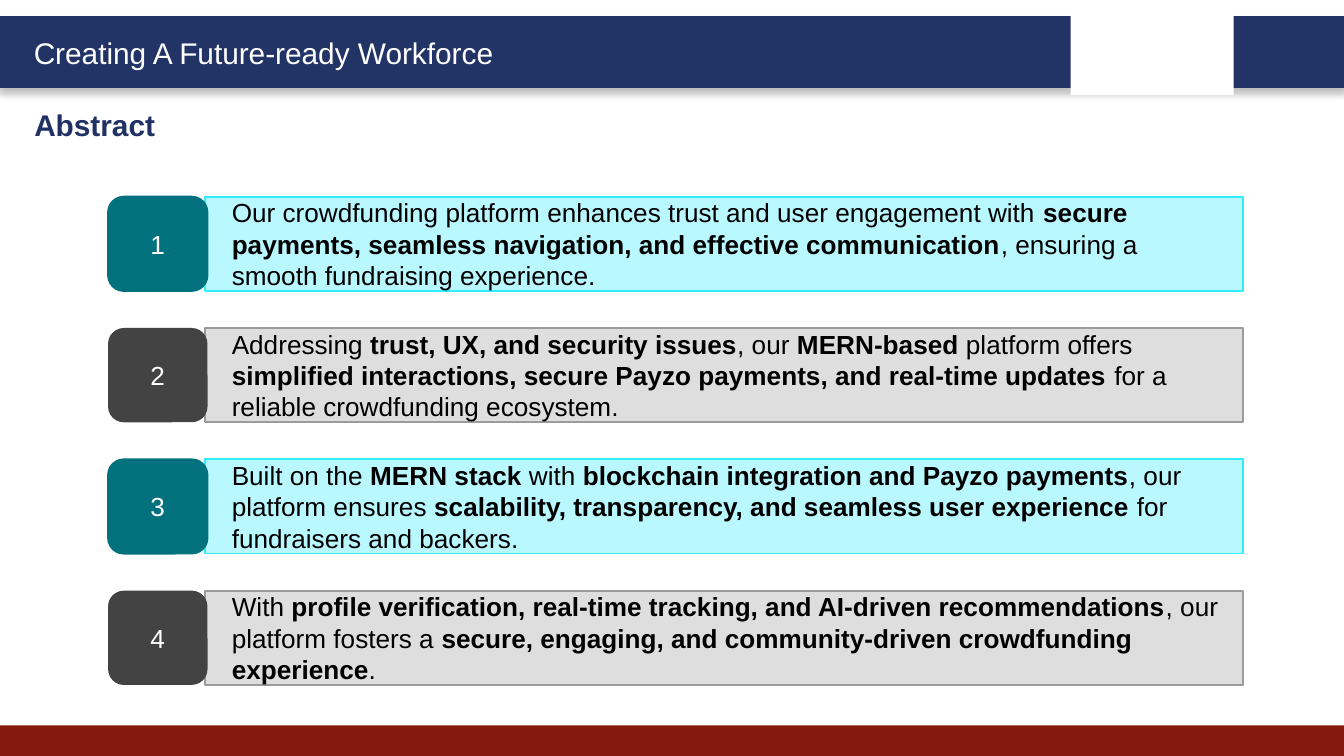
from dataclasses import dataclass

from lxml import etree
from pptx import Presentation
from pptx.dml.color import RGBColor
from pptx.enum import shapes, text
from pptx.oxml import ns
from pptx.util import Pt


@dataclass(frozen=True)
class Theme:
    font: str = "Arial"
    title_size: int = 16
    body_size: int = 14
    navy: str = "223366"
    heading: str = "213163"
    maroon: str = "851910"
    white: str = "FFFFFF"
    black: str = "000000"
    bars: tuple = (("BAF8FF", "31EBFF"), ("DEDEDE", "9B9B9B"))
    badges: tuple = (("00717D", "00717D"), ("434343", None))


THEME = Theme()
SLIDE_WIDTH, SLIDE_HEIGHT = 720, 405
FOOTER_TOP = 388.6
ROWS_TOP, ROW_PITCH, ROW_HEIGHT = 105.4, 70.35, 50.5
BADGE_LEFT, BADGE_WIDTH = 57.9, 53.3
BAR_LEFT, BAR_WIDTH = 109.9, 556.1

POINTS = [
    [("Our crowdfunding platform enhances trust and user engagement with ", False),
     ("secure payments, seamless navigation, and effective communication", True),
     (", ensuring a smooth fundraising experience.", False)],
    [("Addressing ", False),
     ("trust, UX, and security issues", True),
     (", our ", False),
     ("MERN-based", True),
     (" platform offers ", False),
     ("simplified interactions, secure Payzo payments, and real-time updates", True),
     (" for a reliable crowdfunding ecosystem.", False)],
    [("Built on the ", False),
     ("MERN stack", True),
     (" with ", False),
     ("blockchain integration and Payzo payments", True),
     (", our platform ensures ", False),
     ("scalability, transparency, and seamless user experience", True),
     (" for fundraisers and backers.", False)],
    [("With ", False),
     ("profile verification, real-time tracking, and AI-driven recommendations", True),
     (", our platform fosters a ", False),
     ("secure, engaging, and community-driven crowdfunding experience", True),
     (".", False)],
]


def apply_format(target, values):
    for name, value in values.items():
        setattr(target, name, value)


def add_panel(parent, kind, box, fill, line=None, line_width=1):
    panel = parent.add_shape(kind, *map(Pt, box))
    panel.shadow.inherit = False
    panel.fill.solid()
    panel.fill.fore_color.rgb = RGBColor.from_string(fill)
    if line:
        panel.line.color.rgb = RGBColor.from_string(line)
        panel.line.width = Pt(line_width)
    else:
        panel.line.fill.background()
    return panel


def write_runs(paragraph, runs, size, color):
    for wording, bold in runs:
        run = paragraph.add_run()
        run.text = wording
        apply_format(run.font, {"name": THEME.font, "size": Pt(size), "bold": bold})
        run.font.color.rgb = RGBColor.from_string(color)


def add_heading(parent, box, wording, color, bold=False):
    heading = parent.add_textbox(*map(Pt, box))
    apply_format(heading.text_frame, {
        "word_wrap": True,
        "auto_size": text.MSO_AUTO_SIZE.SHAPE_TO_FIT_TEXT,
    })
    write_runs(heading.text_frame.paragraphs[0], [(wording, bold)],
               THEME.title_size, color)


def add_drop_shadow(panel, blur, distance, opacity):
    effects = panel._element.spPr.find(ns.qn("a:effectLst"))
    shadow = etree.SubElement(effects, ns.qn("a:outerShdw"), {
        "blurRad": str(Pt(blur)), "dist": str(Pt(distance)),
        "dir": "5400000", "algn": "t", "rotWithShape": "0"})
    color = etree.SubElement(shadow, ns.qn("a:srgbClr"), val=THEME.black)
    etree.SubElement(color, ns.qn("a:alpha"), val=str(opacity * 1000))


def fill_panel(panel, runs, color, alignment, indent=0):
    apply_format(panel.text_frame, {
        "word_wrap": True,
        "vertical_anchor": text.MSO_ANCHOR.MIDDLE,
    })
    paragraph = panel.text_frame.paragraphs[0]
    paragraph.alignment = alignment
    if indent:
        properties = paragraph._p.get_or_add_pPr()
        properties.set("marL", str(Pt(indent)))
        properties.set("indent", "0")
    write_runs(paragraph, runs, THEME.body_size, color)


def add_point(parent, index, runs):
    row = parent.add_group_shape().shapes
    top = ROWS_TOP + index * ROW_PITCH
    bar = add_panel(row, shapes.MSO_SHAPE.RECTANGLE,
                    (BAR_LEFT, top, BAR_WIDTH, ROW_HEIGHT), *THEME.bars[index % 2])
    fill_panel(bar, runs, THEME.black, text.PP_ALIGN.LEFT, indent=7.2)
    badge = add_panel(row, shapes.MSO_SHAPE.ROUNDED_RECTANGLE,
                      (BADGE_LEFT, top, BADGE_WIDTH, ROW_HEIGHT),
                      *THEME.badges[index % 2])
    fill_panel(badge, [(str(index + 1), False)], THEME.white, text.PP_ALIGN.CENTER)


def add_frame(parent):
    rectangle = shapes.MSO_SHAPE.RECTANGLE
    banner = add_panel(parent, rectangle, (0, 9.4, SLIDE_WIDTH, 36.7),
                       THEME.navy, THEME.navy, 2)
    add_drop_shadow(banner, blur=4, distance=3, opacity=25)
    add_panel(parent, rectangle,
              (0, FOOTER_TOP, SLIDE_WIDTH, SLIDE_HEIGHT - FOOTER_TOP), THEME.maroon)
    add_panel(parent, rectangle, (573.6, 5, 87.3, 46), THEME.white)
    add_heading(parent, (11, 15.1, 272.2, 26.6),
                "Creating A Future-ready Workforce", THEME.white)


def main():
    deck = Presentation()
    apply_format(deck, {"slide_width": Pt(SLIDE_WIDTH),
                        "slide_height": Pt(SLIDE_HEIGHT)})
    canvas = deck.slides.add_slide(deck.slide_layouts[6]).shapes
    add_frame(canvas)
    add_heading(canvas, (11.3, 53.7, 348.5, 26.6), "Abstract", THEME.heading, bold=True)
    for index, runs in enumerate(POINTS):
        add_point(canvas, index, runs)
    deck.save("out.pptx")


if __name__ == "__main__":
    main()
